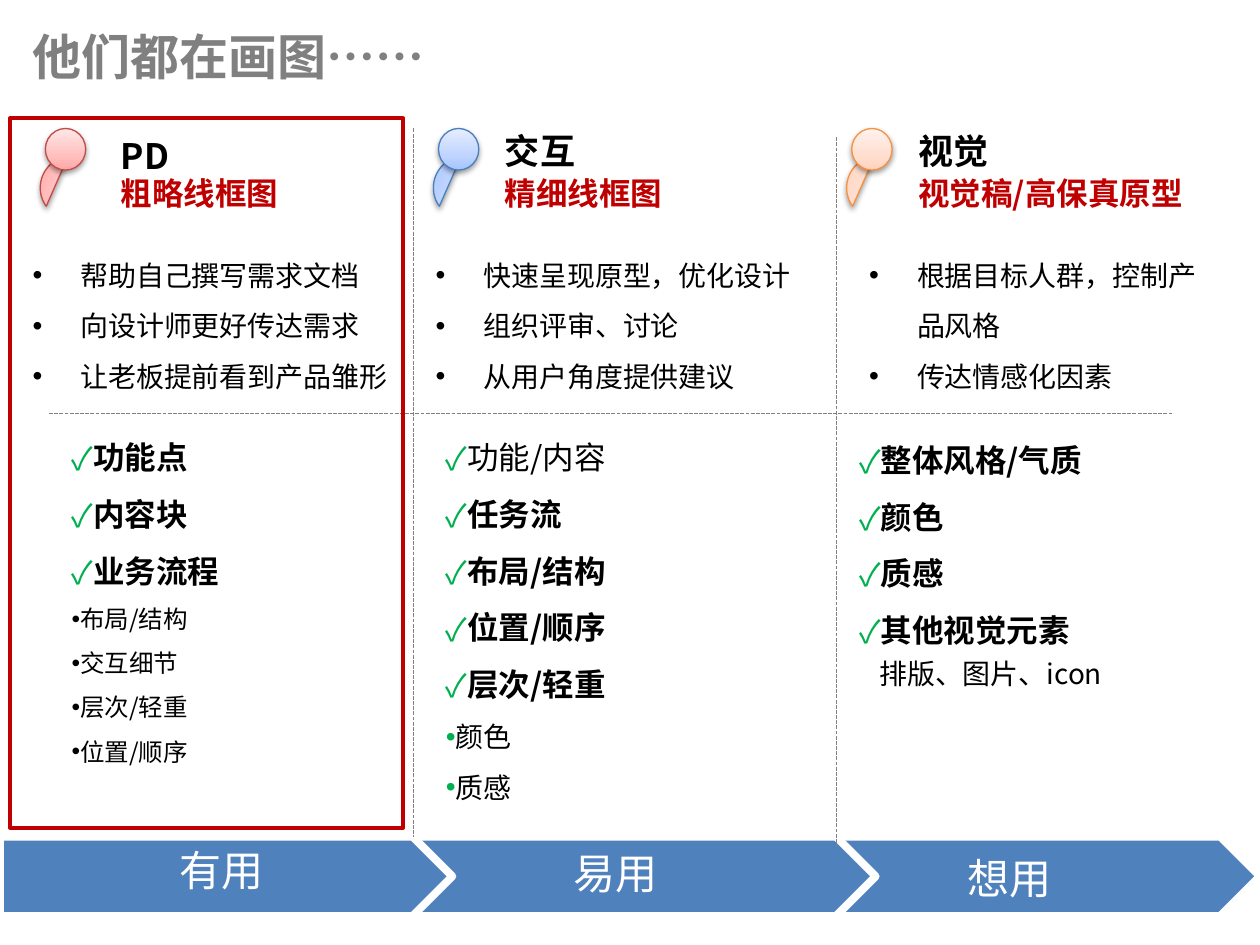
from copy import deepcopy
from dataclasses import dataclass

from lxml import etree
from pptx import Presentation
from pptx.dml.color import RGBColor
from pptx.enum.dml import MSO_LINE
from pptx.enum.shapes import MSO_CONNECTOR, MSO_SHAPE
from pptx.enum.text import MSO_ANCHOR, MSO_AUTO_SIZE, PP_ALIGN
from pptx.oxml.ns import qn
from pptx.util import Emu, Pt

FONT = "Noto Sans CJK SC"
BULLET_FONT = "Arial"
PX = 9144
BLACK, WHITE, GRAY = "000000", "FFFFFF", "808080"
RED, GREEN, BLUE = "C00000", "00B050", "4F81BD"
CHECK, DOT = "✓", "•"
ELLIPSE, CHORD = MSO_SHAPE.OVAL, MSO_SHAPE.CHORD
PENTAGON, RECTANGLE = MSO_SHAPE.PENTAGON, MSO_SHAPE.RECTANGLE
STRAIGHT, SYS_DASH = MSO_CONNECTOR.STRAIGHT, MSO_LINE.SQUARE_DOT
GROW, FIXED = MSO_AUTO_SIZE.SHAPE_TO_FIT_TEXT, MSO_AUTO_SIZE.NONE
TOP, LEFT = MSO_ANCHOR.TOP, PP_ALIGN.LEFT


@dataclass(frozen=True)
class Box:
    left: int
    top: int
    width: int
    height: int

    def emu(self) -> list[Emu]:
        return [Emu(v * PX) for v in (self.left, self.top, self.width, self.height)]


@dataclass(frozen=True)
class Line:
    text: str
    size: int
    bold: bool = False
    color: str = BLACK
    bullet: str = ""
    bullet_color: str = ""
    hang: int = 0
    spacing: float = 1.0


@dataclass(frozen=True)
class Role:
    name: str
    name_box: Box
    drawing: str
    drawing_box: Box
    person_left: int
    person_colors: tuple[str, str, str]
    person_outline: str
    purposes: tuple[str, ...]
    purpose_box: Box
    focus: tuple[Line, ...]
    focus_box: Box
    goal: str
    goal_box: Box
    arrow_box: Box


def rgb(color: str) -> RGBColor:
    return RGBColor.from_string(color)


def purpose(text: str) -> Line:
    return Line(text, 16, bullet=DOT, hang=38, spacing=1.5)


def check(text: str, bold: bool = True) -> Line:
    return Line(text, 18, bold, bullet=CHECK, bullet_color=GREEN, spacing=1.5)


def minor(text: str, size: int, bullet_color: str = "") -> Line:
    return Line(text, size, bullet=DOT, bullet_color=bullet_color, spacing=1.5)


def write_line(paragraph, line: Line) -> None:
    paragraph.alignment = LEFT
    paragraph.line_spacing = line.spacing
    if line.bullet:
        props = paragraph._p.get_or_add_pPr()
        props.set("marL", str(line.hang * PX))
        props.set("indent", str(-line.hang * PX))
        if line.bullet_color:
            color = etree.SubElement(props, qn("a:buClr"))
            etree.SubElement(color, qn("a:srgbClr"), val=line.bullet_color)
        typeface = BULLET_FONT if line.bullet == DOT else FONT
        etree.SubElement(props, qn("a:buFont"), typeface=typeface)
        etree.SubElement(props, qn("a:buChar"), char=line.bullet)
    run = paragraph.add_run()
    run.text = line.text
    run.font.size = Pt(line.size)
    run.font.bold = line.bold
    run.font.color.rgb = rgb(line.color)
    run.font.name = FONT
    etree.SubElement(run._r.get_or_add_rPr(), qn("a:ea"), typeface=FONT)


def add_text(slide, box: Box, *lines: Line) -> None:
    frame = slide.shapes.add_textbox(*box.emu()).text_frame
    frame.word_wrap = True
    frame.auto_size = GROW
    for index, line in enumerate(lines):
        write_line(frame.add_paragraph() if index else frame.paragraphs[0], line)


def add_outlined(shapes, preset, box: Box, outline: str, width: float):
    shape = shapes.add_shape(preset, *box.emu())
    shape.shadow.inherit = False
    shape.line.color.rgb = rgb(outline)
    shape.line.width = Pt(width)
    return shape


def add_person_part(group, preset, box: Box, role: Role):
    part = add_outlined(group.shapes, preset, box, role.person_outline, 0.75)
    part.fill.gradient()
    part.fill.gradient_angle = 90
    stop_list = part._element.spPr.find(".//" + qn("a:gsLst"))
    stop_list.append(deepcopy(stop_list[-1]))
    for stop, position, color in zip(part.fill.gradient_stops, (0, 0.35, 1), role.person_colors):
        stop.position = position
        stop.color.rgb = rgb(color)
    effects = part._element.spPr.find(qn("a:effectLst"))
    shadow = etree.SubElement(effects, qn("a:outerShdw"), blurRad="40000", dist="20000",
                              dir="5400000", rotWithShape="0")
    shadow_color = etree.SubElement(shadow, qn("a:srgbClr"), val=BLACK)
    etree.SubElement(shadow_color, qn("a:alpha"), val="38000")
    return part


def add_person(slide, role: Role) -> None:
    group = slide.shapes.add_group_shape()
    body = add_person_part(group, CHORD, Box(role.person_left, 125, 49, 47), role)
    body.rotation = 108.2
    body.adjustments[0] = 32.94 * 0.6
    body.adjustments[1] = 158.36 * 0.6
    add_person_part(group, ELLIPSE, Box(role.person_left + 5, 102, 32, 33), role)


def add_divider(slide, x1: int, y1: int, x2: int, y2: int) -> None:
    ends = [Emu(v * PX) for v in (x1, y1, x2, y2)]
    divider = slide.shapes.add_connector(STRAIGHT, *ends)
    divider.line.color.rgb = rgb(GRAY)
    divider.line.width = Pt(0.75)
    divider.line.dash_style = SYS_DASH
    etree.SubElement(divider._element.spPr, qn("a:effectLst"))


ROLES = (
    Role("PD", Box(86, 102, 61, 44), "粗略线框图", Box(86, 133, 146, 40),
         31, ("FFA6A5", "FFC0BF", "FFE7E7"), "BF4C48",
         ("帮助自己撰写需求文档", "向设计师更好传达需求", "让老板提前看到产品雏形"),
         Box(16, 187, 305, 131),
         (*map(check, ("功能点", "内容块", "业务流程")),
          *(minor(t, 14) for t in ("布局/结构", "交互细节", "层次/轻重", "位置/顺序"))),
         Box(47, 328, 273, 288),
         "有用", Box(133, 665, 141, 50), Box(0, 664, 359, 63)),
    Role("交互", Box(391, 98, 76, 44), "精细线框图", Box(391, 133, 146, 40),
         343, ("A4C4FF", "BFD4FF", "E6EEFF"), "4B7EBC",
         ("快速呈现原型，优化设计", "组织评审、讨论", "从用户角度提供建议"),
         Box(336, 187, 320, 131),
         (check("功能/内容", False),
          *map(check, ("任务流", "布局/结构", "位置/顺序", "层次/轻重")),
          *(minor(t, 16, GREEN) for t in ("颜色", "质感"))),
         Box(344, 328, 289, 318),
         "易用", Box(445, 668, 141, 50), Box(312, 664, 383, 63)),
    Role("视觉", Box(719, 98, 76, 44), "视觉稿/高保真原型", Box(719, 133, 233, 40),
         671, ("FFD2BD", "FFDED0", "FFF2ED"), "F69240",
         ("根据目标人群，控制产品风格", "传达情感化因素"),
         Box(680, 187, 281, 131),
         tuple(map(check, ("整体风格/气质", "颜色", "质感", "其他视觉元素"))),
         Box(672, 330, 305, 192),
         "想用", Box(758, 672, 117, 50), Box(625, 664, 375, 63)),
)


def main() -> None:
    deck = Presentation()
    deck.slide_width, deck.slide_height = Emu(1000 * PX), Emu(750 * PX)
    slide = deck.slides.add_slide(deck.slide_layouts[5])

    title = slide.shapes.title
    title.left, title.top, title.width, title.height = Box(16, 16, 875, 57).emu()
    title.text_frame.vertical_anchor = TOP
    title.text_frame.auto_size = FIXED
    write_line(title.text_frame.paragraphs[0], Line("他们都在画图……", 28, True, GRAY))

    for role in reversed(ROLES):
        arrow = add_outlined(slide.shapes, PENTAGON, role.arrow_box, WHITE, 4.5)
        arrow.fill.solid()
        arrow.fill.fore_color.rgb = rgb(BLUE)

    for role in ROLES:
        add_person(slide, role)
        add_text(slide, role.name_box, Line(role.name, 20, True))
        add_text(slide, role.drawing_box, Line(role.drawing, 18, True, RED))
        add_text(slide, role.purpose_box, *map(purpose, role.purposes))
        add_text(slide, role.focus_box, *role.focus)
        add_text(slide, role.goal_box, Line(role.goal, 24, color=WHITE))
    add_text(slide, Box(688, 516, 258, 37), Line("排版、图片、icon", 16))

    add_divider(slide, 328, 102, 328, 664)
    add_divider(slide, 664, 109, 664, 672)
    add_divider(slide, 39, 328, 930, 328)

    highlight = add_outlined(slide.shapes, RECTANGLE, Box(8, 94, 312, 563), RED, 2.25)
    highlight.fill.background()
    deck.save("out.pptx")


if __name__ == "__main__":
    main()
